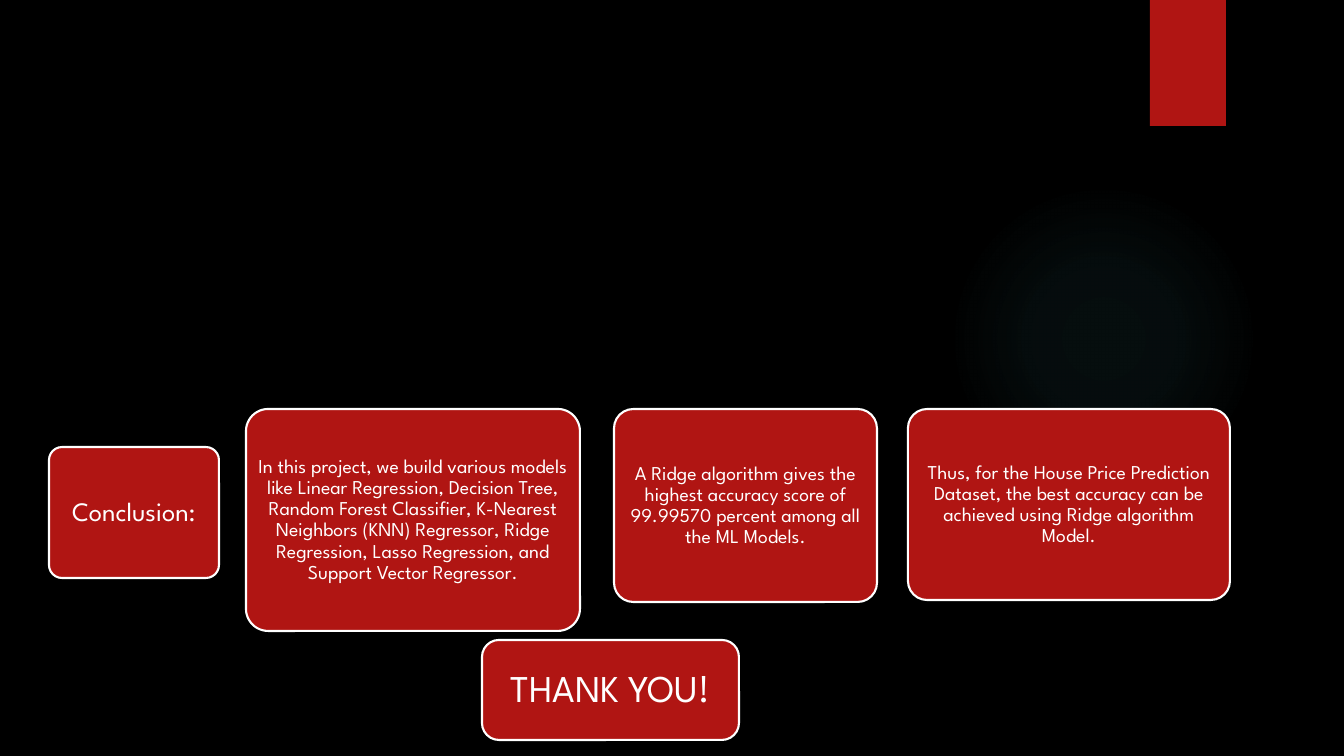
from lxml import etree
from pptx import Presentation
from pptx import util as u
from pptx.dml.color import RGBColor
from pptx.enum import shapes, text
from pptx.oxml.ns import qn

FONT = "League Spartan"
COLORS = {"background": "000000", "red": "B01513", "white": "FFFFFF", "glow": "50B9C1"}
GLOW_STOPS = [(0, 7), (36, 6), (69, 0)]  # position and opacity, in percent

# Text, box, font size, horizontal and vertical inset, corner rounding
CARDS = [
    ("Conclusion:", (49, 447, 170, 131), 19, (4, 3), 0.1),
    ("In this project, we build various models like Linear Regression, Decision Tree, "
     "Random Forest Classifier, K-Nearest Neighbors (KNN) Regressor, Ridge Regression, "
     "Lasso Regression, and Support Vector Regressor.", (246, 409, 334, 222), 14, (3, 2), 0.1),
    ("A Ridge algorithm gives the highest accuracy score of 99.99570 percent among all "
     "the ML Models.", (614, 409, 263, 193), 14, (3, 2), 0.1),
    ("Thus, for the House Price Prediction Dataset, the best accuracy can be achieved "
     "using Ridge algorithm Model.", (908, 409, 322, 191), 14, (3, 2), 0.1),
    ("THANK YOU!", (482, 640, 257, 100), 27, (11, 6), 0.17),
]


def px(n):
    return u.Inches(n / 100.8)


def color(name):
    return RGBColor.from_string(COLORS[name])


def add_plain(slide, kind, box, fill="red"):
    sp = slide.shapes.add_shape(kind, *map(px, box))
    sp.shadow.inherit = False
    sp.fill.solid()
    sp.fill.fore_color.rgb = color(fill)
    sp.line.fill.background()
    return sp


def add_glow(slide, box):
    sp = add_plain(slide, shapes.MSO_SHAPE.OVAL, box, "glow")
    solid = sp.fill._xPr.find(qn("a:solidFill"))
    grad = etree.Element(qn("a:gradFill"), rotWithShape="1")
    stops = etree.SubElement(grad, qn("a:gsLst"))
    for pos, opacity in GLOW_STOPS:
        gs = etree.SubElement(stops, qn("a:gs"), pos=str(pos * 1000))
        clr = etree.SubElement(gs, qn("a:srgbClr"), val=COLORS["glow"])
        etree.SubElement(clr, qn("a:alpha"), val=str(opacity * 1000))
    circle = etree.SubElement(grad, qn("a:path"), {"path": "circle"})
    etree.SubElement(circle, qn("a:fillToRect"), dict.fromkeys("ltrb", "50000"))
    solid.getparent().replace(solid, grad)


def add_card(slide, words, box, size, insets, rounding):
    sp = add_plain(slide, shapes.MSO_SHAPE.ROUNDED_RECTANGLE, box)
    sp.adjustments[0] = rounding
    sp.line.color.rgb = color("white")
    sp.line.width = u.Pt(1.5)
    tf = sp.text_frame
    tf.word_wrap = True
    tf.vertical_anchor = text.MSO_ANCHOR.MIDDLE
    tf.margin_left = tf.margin_right = px(insets[0])
    tf.margin_top = tf.margin_bottom = px(insets[1])
    p = tf.paragraphs[0]
    p.text = words
    p.alignment = text.PP_ALIGN.CENTER
    p.line_spacing = 0.9
    p.font.name = FONT
    p.font.size = u.Pt(size)
    p.font.color.rgb = color("white")


def main():
    prs = Presentation()
    prs.slide_width, prs.slide_height = px(1344), px(756)
    slide = prs.slides.add_slide(prs.slide_layouts[6])
    slide.background.fill.solid()
    slide.background.fill.fore_color.rgb = color("background")

    # Backdrop: soft glow and red flag
    add_glow(slide, (949, 184, 310, 310))
    add_plain(slide, shapes.MSO_SHAPE.RECTANGLE, (1150, 0, 76, 126))

    # Conclusion cards and closing words
    for card in CARDS:
        add_card(slide, *card)

    prs.save("out.pptx")


if __name__ == "__main__":
    main()
